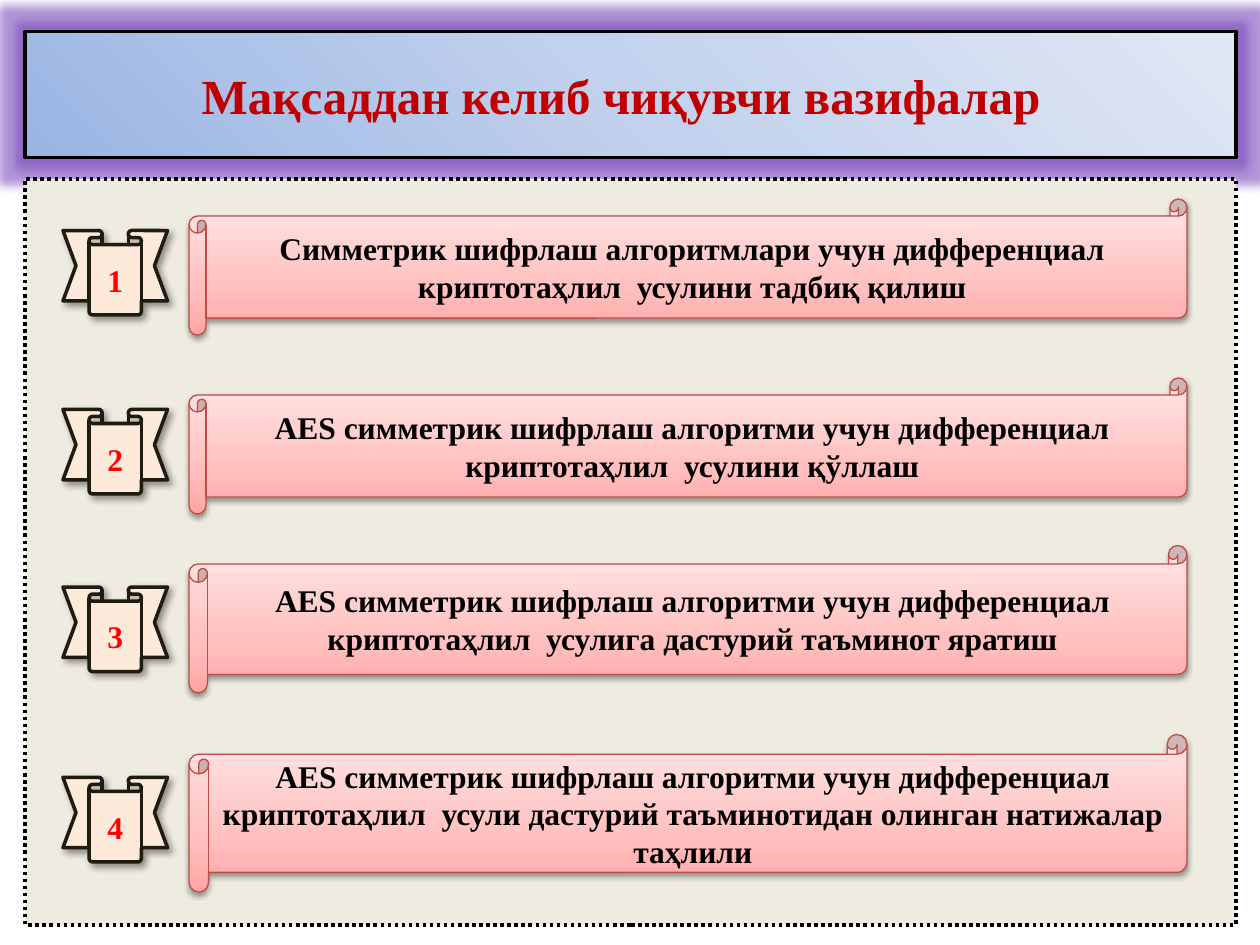
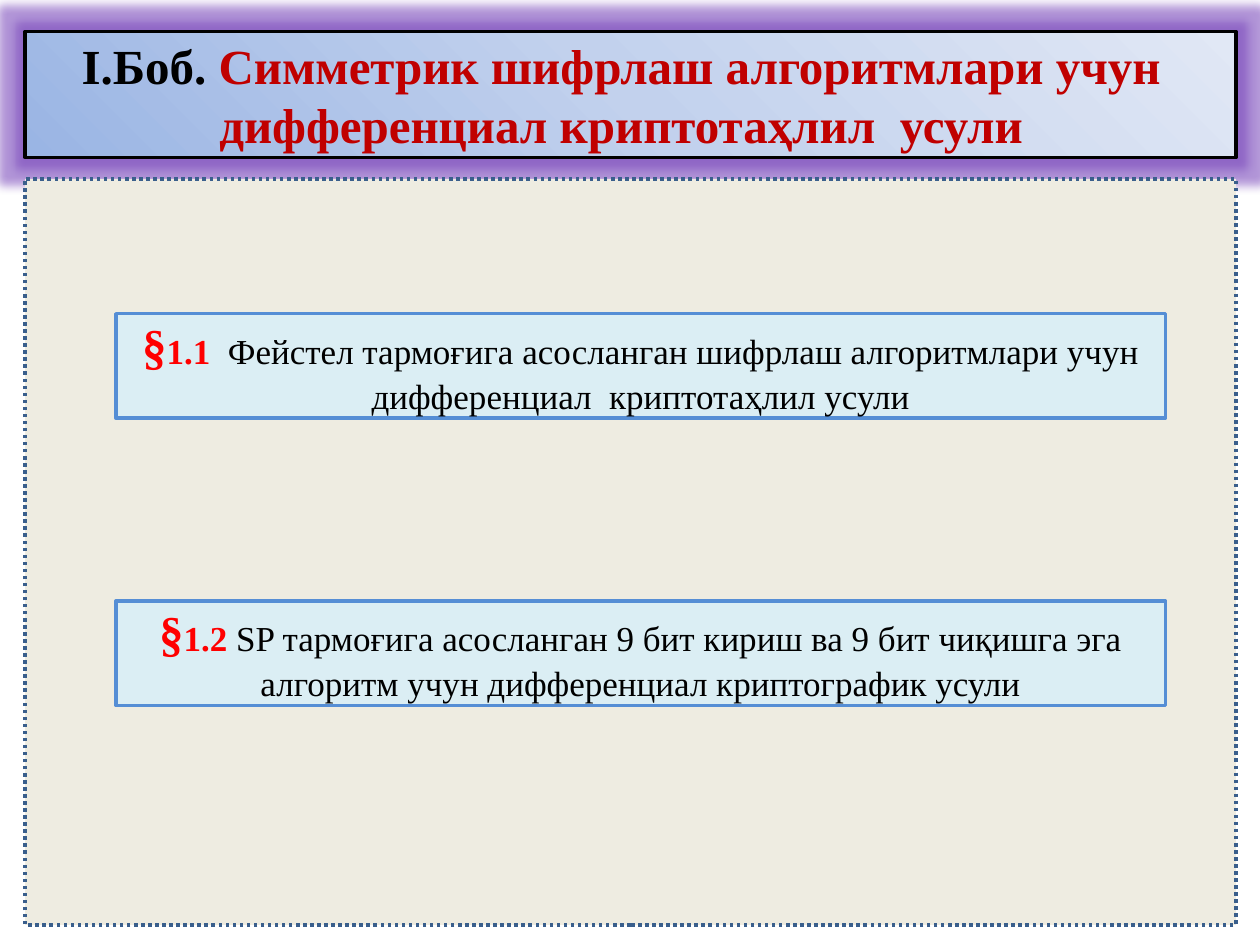
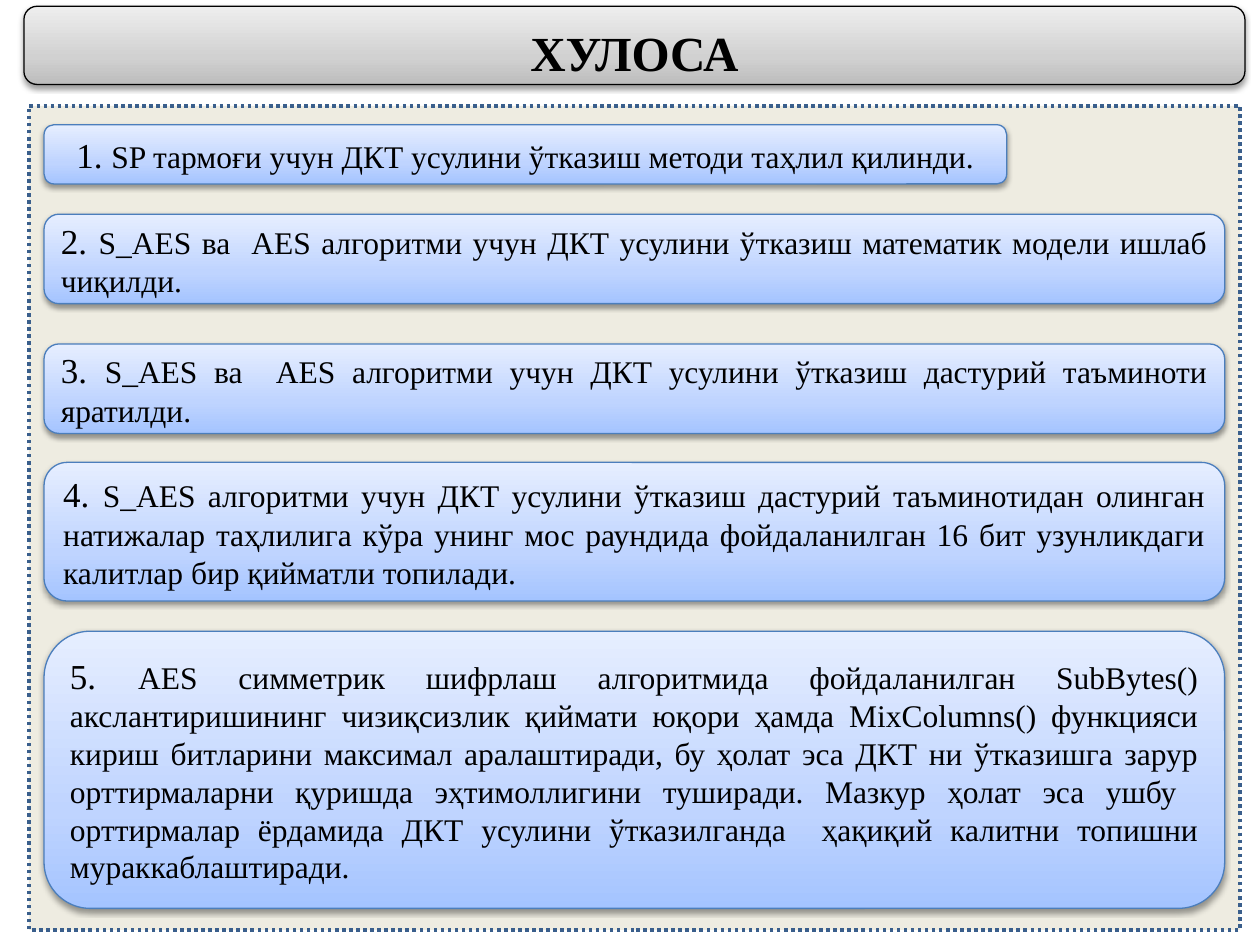
from dataclasses import dataclass

from lxml.etree import SubElement
from pptx import Presentation
from pptx.dml.color import RGBColor
from pptx.enum.dml import MSO_LINE
from pptx.enum.shapes import MSO_SHAPE
from pptx.enum.text import MSO_ANCHOR, PP_ALIGN
from pptx.oxml import parse_xml
from pptx.oxml.ns import nsdecls, qn
from pptx.util import Inches, Pt


@dataclass(frozen=True)
class Theme:
    font: str = "Times New Roman"
    title: int = 28
    lead: int = 20
    body: int = 18
    black: str = "000000"
    accent: str = "C00000"
    mark: str = "FF0000"
    panel: str = "EEECE1"
    panel_line: str = "3A5F8C"
    glow: str = "7440B8"
    badge: str = "FDEADA"
    badge_line: str = "1E1C11"
    section: str = "DBEEF4"
    section_line: str = "558ED5"
    task_line: str = "BF4C48"
    finding_line: str = "4B7EBC"
    title_stops: tuple = ((0, "9AB5E4"), (50, "C2D1ED"), (100, "E1E8F5"))
    task_stops: tuple = ((0, "FFA6A5"), (35, "FFC0BF"), (100, "FFE7E7"))
    head_stops: tuple = ((0, "BDBDBD"), (35, "D1D1D1"), (100, "EEEEEE"))
    finding_stops: tuple = ((0, "A4C4FF"), (35, "BFD4FF"), (100, "E6EEFF"))


T = Theme()
UPWARD = '<a:lin ang="16200000" scaled="0"/>'
FROM_CORNER = '<a:path path="circle"><a:fillToRect t="100000" r="100000"/></a:path>'
SOFT_SHADOW = {"color": T.black, "alpha": 38, "blurRad": Pt(3.1), "dist": Pt(1.6), "dir": 90 * 60000}
BADGE_SHADOW = {"color": T.black, "alpha": 40, "blurRad": Pt(4), "dist": Pt(3), "dir": 45 * 60000}
TITLE_GLOW = {"color": T.glow, "alpha": 55, "rad": Pt(11)}

TASKS = [
    (1.58, 1.08, 1.83, "Симметрик шифрлаш алгоритмлари учун дифференциал криптотаҳлил  усулини тадбиқ қилиш"),
    (3, 1.08, 3.25, "AES симметрик шифрлаш алгоритми учун дифференциал криптотаҳлил  усулини қўллаш"),
    (4.33, 1.17, 4.66, "AES симметрик шифрлаш алгоритми учун дифференциал криптотаҳлил  усулига "
     "дастурий таъминот яратиш"),
    (5.83, 1.25, 6.17, "AES симметрик шифрлаш алгоритми учун дифференциал криптотаҳлил  усули "
     "дастурий таъминотидан олинган натижалар таҳлили"),
]
SECTIONS = [
    (2.49, "1.1  ", "Фейстел тармоғига асосланган шифрлаш алгоритмлари учун дифференциал  криптотаҳлил усули"),
    (4.77, "1.2 ", "SP тармоғига асосланган 9 бит кириш ва 9 бит чиқишга эга алгоритм учун "
     "дифференциал криптографик усули"),
]
FINDINGS = [
    (0.99, 7.64, 0.47, PP_ALIGN.CENTER, "SP тармоғи учун ДКТ усулини ўтказиш методи таҳлил қилинди."),
    (1.7, 9.37, 0.71, PP_ALIGN.JUSTIFY,
     "S_AES ва  AES алгоритми учун ДКТ усулини ўтказиш математик модели ишлаб чиқилди."),
    (2.73, 9.37, 0.71, PP_ALIGN.JUSTIFY,
     "S_AES ва  AES алгоритми учун ДКТ усулини ўтказиш дастурий таъминоти яратилди."),
    (3.67, 9.37, 1.1, PP_ALIGN.JUSTIFY,
     "S_AES алгоритми учун ДКТ усулини ўтказиш дастурий таъминотидан олинган натижалар таҳлилига "
     "кўра унинг мос раундида фойдаланилган 16 бит узунликдаги калитлар бир қийматли топилади."),
    (5.01, 9.37, 2.2, PP_ALIGN.JUSTIFY,
     "АЕS симметрик шифрлаш алгоритмида фойдаланилган SubBytes() акслантиришининг чизиқсизлик "
     "қиймати юқори ҳамда MixColumns() функцияси кириш битларини максимал аралаштиради, бу ҳолат "
     "эса ДКТ ни ўтказишга зарур орттирмаларни қуришда эҳтимоллигини туширади. Мазкур ҳолат эса "
     "ушбу  орттирмалар ёрдамида ДКТ усулини ўтказилганда  ҳақиқий калитни топишни "
     "мураккаблаштиради."),
]


def set_gradient(sp, stops, direction):
    marks = "".join(f'<a:gs pos="{pos * 1000}"><a:srgbClr val="{color}"/></a:gs>' for pos, color in stops)
    grad = parse_xml(f'<a:gradFill {nsdecls("a")} rotWithShape="1"><a:gsLst>{marks}</a:gsLst>{direction}</a:gradFill>')
    sp.fill.background()
    pr = sp._element.spPr
    pr.replace(pr.find(qn("a:noFill")), grad)


def add_effect(sp, tag, color, alpha, **sizes):
    effects = sp._element.spPr.find(qn("a:effectLst"))
    effect = SubElement(effects, qn(tag), {name: str(int(size)) for name, size in sizes.items()})
    clr = SubElement(effect, qn("a:srgbClr"), val=color)
    SubElement(clr, qn("a:alpha"), val=str(alpha * 1000))


def add_box(s, kind, at, fill, line, width, direction=UPWARD, shadow=None):
    sp = s.shapes.add_shape(kind, *map(Inches, at))
    if isinstance(fill, str):
        sp.fill.solid()
        sp.fill.fore_color.rgb = RGBColor.from_string(fill)
    else:
        set_gradient(sp, fill, direction)
    sp.line.color.rgb = RGBColor.from_string(line)
    sp.line.width = Pt(width)
    sp.shadow.inherit = False
    if shadow:
        add_effect(sp, "a:outerShdw", **shadow)
    return sp


def write(sp, runs, align=PP_ALIGN.CENTER, **margins):
    tf = sp.text_frame
    frame = {"word_wrap": True, "vertical_anchor": MSO_ANCHOR.MIDDLE}
    frame |= {name: Inches(size) for name, size in margins.items()}
    for name, value in frame.items():
        setattr(tf, name, value)
    p = tf.paragraphs[0]
    p.alignment = align
    for text, size, color, bold in runs:
        r = p.add_run()
        r.text = text
        for name, value in {"name": T.font, "size": Pt(size), "bold": bold}.items():
            setattr(r.font, name, value)
        r.font.color.rgb = RGBColor.from_string(color)


def add_title(s, runs):
    sp = add_box(s, MSO_SHAPE.RECTANGLE, (0.2, 0.25, 9.61, 1), T.title_stops, T.black, 2, FROM_CORNER)
    add_effect(sp, "a:glow", **TITLE_GLOW)
    write(sp, [(text, T.title, color, True) for text, color in runs], margin_right=0.25)


def add_panel(s, at=(0.2, 1.42, 9.61, 5.92), line=T.panel_line):
    sp = add_box(s, MSO_SHAPE.RECTANGLE, at, T.panel, line, 2)
    sp.line.dash_style = MSO_LINE.ROUND_DOT


def add_task(s, number, top, height, badge_top, text):
    scroll = add_box(s, MSO_SHAPE.HORIZONTAL_SCROLL, (1.5, top, 7.92, height),
                     T.task_stops, T.task_line, 0.75, shadow=SOFT_SHADOW)
    write(scroll, [(text, T.body, T.black, True)])
    badge = add_box(s, MSO_SHAPE.DOWN_RIBBON, (0.5, badge_top, 0.83, 0.67),
                    T.badge, T.badge_line, 2, shadow=BADGE_SHADOW)
    write(badge, [(str(number), T.body, T.mark, True)])


def add_section(s, top, number, text):
    sp = add_box(s, MSO_SHAPE.RECTANGLE, (0.92, top, 8.33, 0.83), T.section, T.section_line, 2)
    write(sp, [("§", T.title, T.mark, True), (number, T.lead, T.mark, True), (text, T.lead, T.black, False)])


def add_rounded(s, at, stops, line):
    return add_box(s, MSO_SHAPE.ROUNDED_RECTANGLE, at, stops, line, 0.75, shadow=SOFT_SHADOW)


def add_finding(s, number, top, width, height, align, text):
    sp = add_rounded(s, (0.35, top, width, height), T.finding_stops, T.finding_line)
    write(sp, [(f"{number}. ", T.lead, T.black, False), (text, T.body, T.black, False)], align)


def build_tasks(s):
    add_title(s, [("Мақсаддан келиб чиқувчи вазифалар", T.accent)])
    add_panel(s, line=T.black)
    for number, task in enumerate(TASKS, 1):
        add_task(s, number, *task)


def build_chapter(s):
    add_title(s, [("I.Боб. ", T.black),
                  ("Симметрик шифрлаш алгоритмлари учун дифференциал криптотаҳлил  усули", T.accent)])
    add_panel(s)
    for section in SECTIONS:
        add_section(s, *section)


def build_conclusion(s):
    add_panel(s, (0.23, 0.84, 9.61, 6.54))
    head = add_rounded(s, (0.19, 0.05, 9.69, 0.62), T.head_stops, T.black)
    write(head, [("ХУЛОСА", T.title, T.black, True)], margin_top=0.15)
    for number, finding in enumerate(FINDINGS, 1):
        add_finding(s, number, *finding)


def main():
    prs = Presentation()
    prs.slide_width, prs.slide_height = Inches(10), Inches(7.5)
    for build in (build_tasks, build_chapter, build_conclusion):
        build(prs.slides.add_slide(prs.slide_layouts[6]))
    prs.save("out.pptx")


if __name__ == "__main__":
    main()
